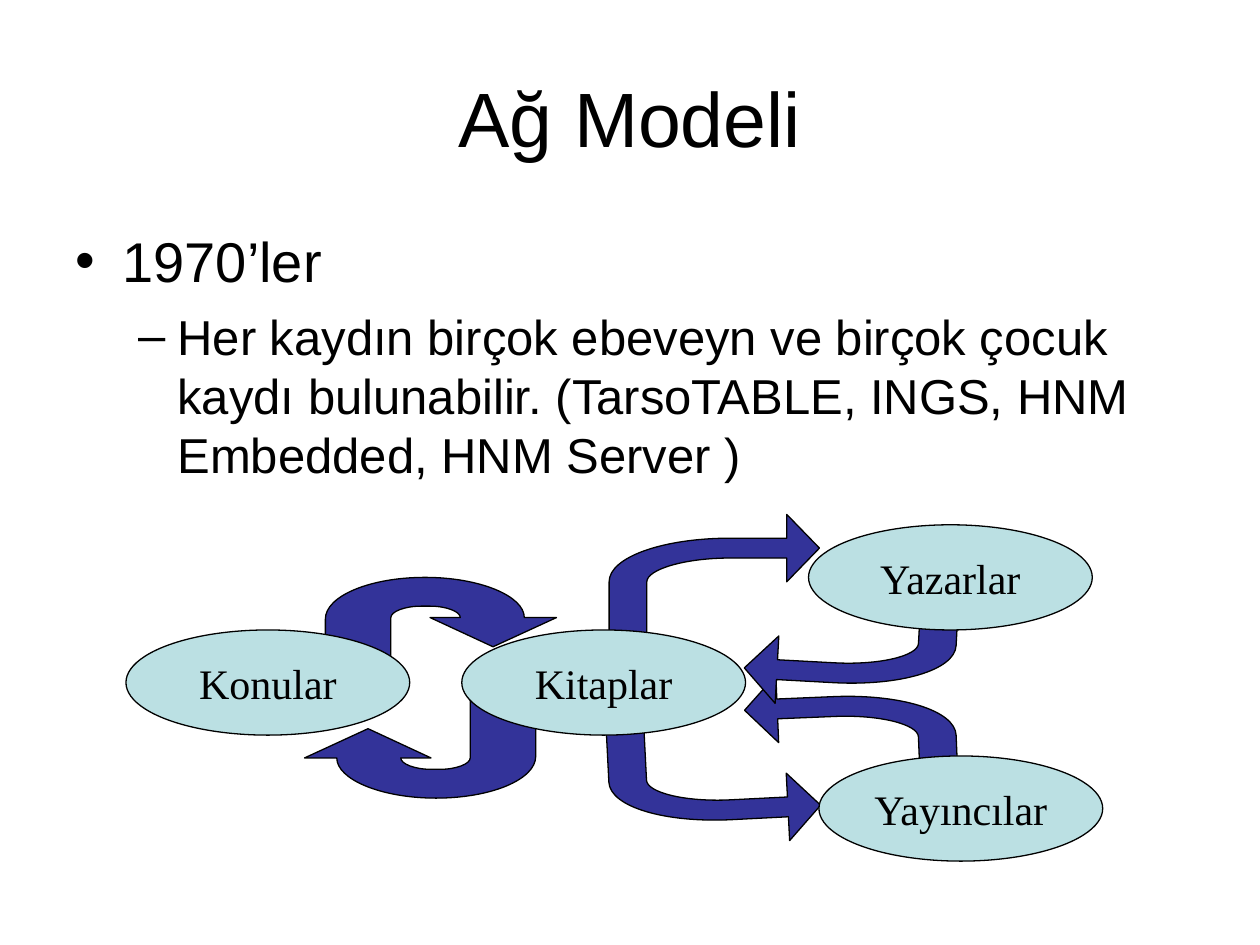
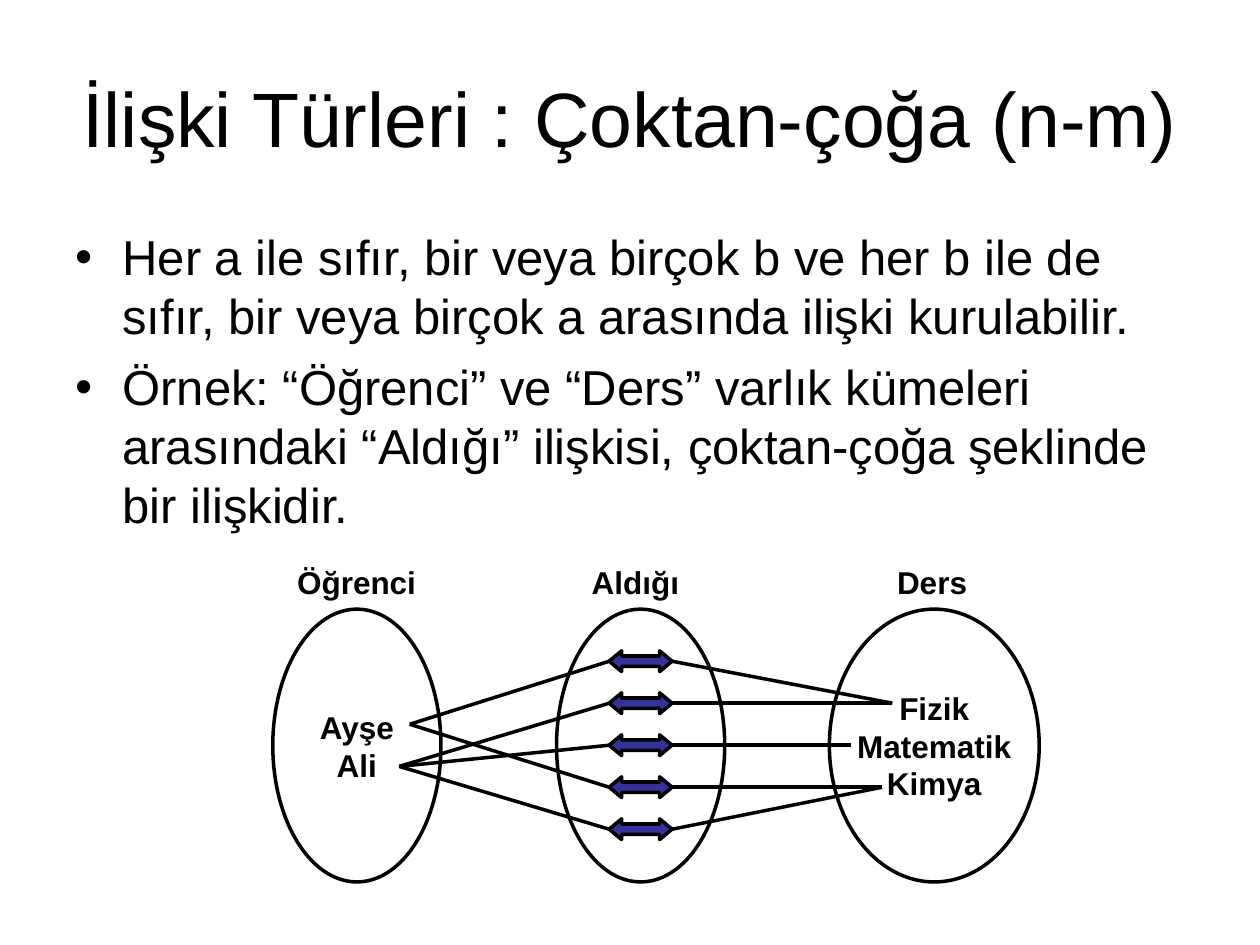
"""Build two slides on the network model and many-to-many relations."""
import pptx
import pptx.dml.color
import pptx.enum.shapes
import pptx.enum.text
import pptx.oxml.ns
import pptx.util
from lxml import etree

Cm = pptx.util.Cm
Pt = pptx.util.Pt
SHAPE = pptx.enum.shapes.MSO_SHAPE
ALIGN = pptx.enum.text.PP_ALIGN
ANCHOR = pptx.enum.text.MSO_ANCHOR
COLORS = {"ink": "000000", "paper": "FFFFFF", "oval": "BBE0E3", "arrow": "333399"}

BENT = [(4.24, 0.68), (3.58, 0), (3.58, 0.48), (2.44, 0.48),
        (1.09, 0.48, 0, 0.86, 0, 1.36), (0, 2.41), (0.76, 2.41), (0.76, 1.36),
        (0.76, 1.11, 1.52, 0.88, 2.44, 0.88), (3.58, 0.88), (3.58, 1.36)]
LOOP = [(3.38, 1.4), (4.66, 0.81), (4.01, 0.81), (4.01, 0.38, 3.12, 0, 2.01, 0),
        (0.89, 0, 0, 0.38, 0, 0.84), (0, 2.12), (1.32, 2.12), (1.32, 0.81),
        (1.32, 0.69, 1.6, 0.58, 1.93, 0.58), (2.11, 0.58),
        (2.44, 0.58, 2.72, 0.69, 2.72, 0.81), (2.11, 0.81)]


def color(name):
    return pptx.dml.color.RGBColor.from_string(COLORS[name])


def node(parent, tag, **attrs):
    return etree.SubElement(parent, pptx.oxml.ns.qn(tag), attrs)


def write(frame, text, size=18, face="Arial", bold=False, align=ALIGN.LEFT,
          before=0, bullet=None, left=0, hang=0, tabs=()):
    para = frame.paragraphs[0]
    if para.runs:
        para = frame.add_paragraph()
    para.alignment = align
    if before:
        para.space_before = Pt(before)
    props = para._p.get_or_add_pPr()
    if bullet:
        props.set("marL", str(Cm(left)))
        props.set("indent", str(-Cm(hang)))
        node(props, "a:buFont", typeface="Arial")
        node(props, "a:buChar", char=bullet)
    if tabs:
        stops = node(props, "a:tabLst")
        for stop in tabs:
            node(stops, "a:tab", pos=str(Cm(stop)), algn="ctr")
    run = para.add_run()
    run.text = text
    run.font.size = Pt(size)
    run.font.name = face
    run.font.bold = bold
    run.font.color.rgb = color("ink")


class Deck:
    def __init__(self):
        self.show = pptx.Presentation()
        self.show.slide_width = Cm(25.4)
        self.show.slide_height = Cm(19.05)

    def page(self, title):
        self.slide = self.show.slides.add_slide(self.show.slide_layouts[6])
        self.slide.background.fill.solid()
        self.slide.background.fill.fore_color.rgb = color("paper")
        frame = self.box(1.27, 0.76, 22.86, 3.18)
        frame.vertical_anchor = ANCHOR.MIDDLE
        write(frame, title, size=44, align=ALIGN.CENTER)

    def box(self, x, y, w, h):
        frame = self.slide.shapes.add_textbox(Cm(x), Cm(y), Cm(w), Cm(h)).text_frame
        frame.word_wrap = True
        return frame

    def style(self, shape, fill, width):
        shape.shadow.inherit = False
        if fill:
            shape.fill.solid()
            shape.fill.fore_color.rgb = color(fill)
        else:
            shape.fill.background()
        shape.line.color.rgb = color("ink")
        shape.line.width = Pt(width)

    def shape(self, kind, x, y, w, h, fill=None, width=2.0):
        shape = self.slide.shapes.add_shape(kind, Cm(x), Cm(y), Cm(w), Cm(h))
        self.style(shape, fill, width)
        return shape

    def oval(self, x, y, w, h, lines=(), fill=None, width=2.0, **form):
        frame = self.shape(SHAPE.OVAL, x, y, w, h, fill, width).text_frame
        frame.word_wrap = False
        frame.vertical_anchor = ANCHOR.MIDDLE
        for line in lines:
            write(frame, line, align=ALIGN.CENTER, **form)

    def curve(self, steps, x, y, flip_x=False, flip_y=False, turn=0):
        wide = max(step[-2] for step in steps)
        high = max(step[-1] for step in steps)

        def place(px, py):
            return (Cm(wide - px if flip_x else px), Cm(high - py if flip_y else py))

        ends = [place(*step[-2:]) for step in steps]
        pen = self.slide.shapes.build_freeform(*ends[0])
        pen.add_line_segments(ends[1:], close=True)
        shape = pen.convert_to_shape(Cm(x), Cm(y))
        sides = list(shape._element.iter(pptx.oxml.ns.qn("a:lnTo")))
        for step, side in zip(steps[1:], sides):
            if len(step) == 6:
                bend = etree.Element(pptx.oxml.ns.qn("a:cubicBezTo"))
                for px, py in zip(step[::2], step[1::2]):
                    cx, cy = place(px, py)
                    node(bend, "a:pt", x=str(cx), y=str(cy))
                side.getparent().replace(side, bend)
        shape.rotation = turn
        self.style(shape, "arrow", 0.75)

    def line(self, start, end):
        ends = [Cm(v) for v in (*start, *end)]
        link = self.slide.shapes.add_connector(
            pptx.enum.shapes.MSO_CONNECTOR.STRAIGHT, *ends)
        link.line.color.rgb = color("ink")
        link.line.width = Pt(2)
        node(link._element.spPr, "a:effectLst")


def network(deck):
    deck.page("Ağ Modeli")
    frame = deck.box(1.27, 4.45, 22.86, 12.57)
    write(frame, "1970’ler", size=32, bullet="•", left=0.95, hang=0.95)
    write(frame, "Her kaydın birçok ebeveyn ve birçok çocuk kaydı bulunabilir. "
          "(TarsoTABLE, INGS, HNM Embedded, HNM Server )",
          size=28, before=7, bullet="–", left=2.06, hang=0.79)
    deck.curve(LOOP, 6.56, 11.64)
    deck.curve(LOOP, 6.14, 13.97, flip_x=True, flip_y=True)
    names = {"face": "Times New Roman", "size": 24, "fill": "oval", "width": 0.75}
    deck.oval(2.54, 12.7, 5.72, 2.12, ["Konular"], **names)
    deck.curve(BENT, 12.28, 10.37)
    deck.curve(BENT, 15.03, 13.55, flip_x=True, turn=-2.4)
    deck.curve(BENT, 12.28, 14.61, flip_y=True, turn=-2.9)
    deck.curve(BENT, 15.03, 11.85, flip_x=True, flip_y=True, turn=3.1)
    for name, x, y in (("Kitaplar", 9.31, 12.7), ("Yazarlar", 16.3, 10.58),
                       ("Yayıncılar", 16.51, 15.24)):
        deck.oval(x, y, 5.72, 2.12, [name], **names)


def relation(deck):
    deck.page("İlişki Türleri : Çoktan-çoğa (n-m)")
    frame = deck.box(1.27, 4.45, 22.86, 6.99)
    rules = ("Her a ile sıfır, bir veya birçok b ve her b ile de sıfır, "
             "bir veya birçok a arasında ilişki kurulabilir.",
             "Örnek: “Öğrenci” ve “Ders” varlık kümeleri arasındaki “Aldığı” "
             "ilişkisi, çoktan-çoğa şeklinde bir ilişkidir.")
    for i, rule in enumerate(rules):
        write(frame, rule, size=28, before=7 * i, bullet="•", left=0.95, hang=0.95)
    write(deck.box(5.74, 11.23, 14.02, 1.02), "Öğrenci\tAldığı\tDers", bold=True,
          tabs=(6.82, 12.8))
    for x, w, lines in ((5.5, 3.39, ["Ayşe", "Ali"]), (11.22, 3.39, []),
                        (16.72, 4.23, ["Fizik", "Matematik", "Kimya"])):
        deck.oval(x, 12.28, w, 5.5, lines, bold=True)
    top, gap = 13.33, 2.54 / 3
    people = {"Ayşe": (8.26, 14.6), "Ali": (8.05, 15.45)}
    courses = {"Fizik": (17.99, top + gap), "Matematik": (17.15, top + 2 * gap),
               "Kimya": (17.78, top + 3 * gap)}
    pairs = (("Ayşe", "Fizik"), ("Ali", "Fizik"), ("Ali", "Matematik"),
             ("Ayşe", "Kimya"), ("Ali", "Kimya"))
    for i, (who, what) in enumerate(pairs):
        y = top + gap * i
        deck.line((12.28, y), people[who])
        deck.line(courses[what], (13.55, y))
        arrow = deck.shape(SHAPE.LEFT_RIGHT_ARROW, 12.28, y - 0.21, 1.27, 0.42, "arrow")
        arrow.adjustments[1] = 0.6


def main():
    deck = Deck()
    network(deck)
    relation(deck)
    deck.show.save("out.pptx")


if __name__ == "__main__":
    main()
